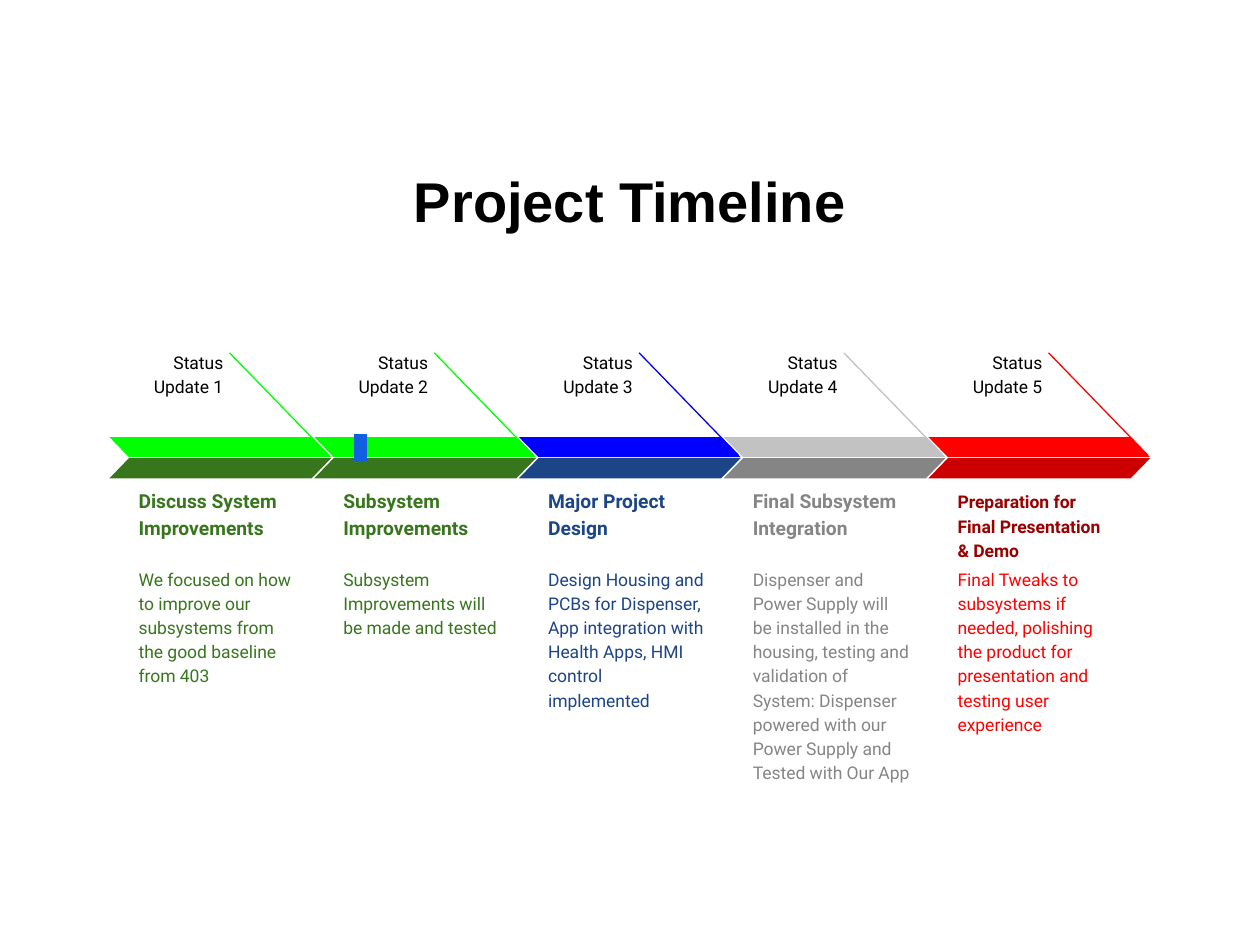
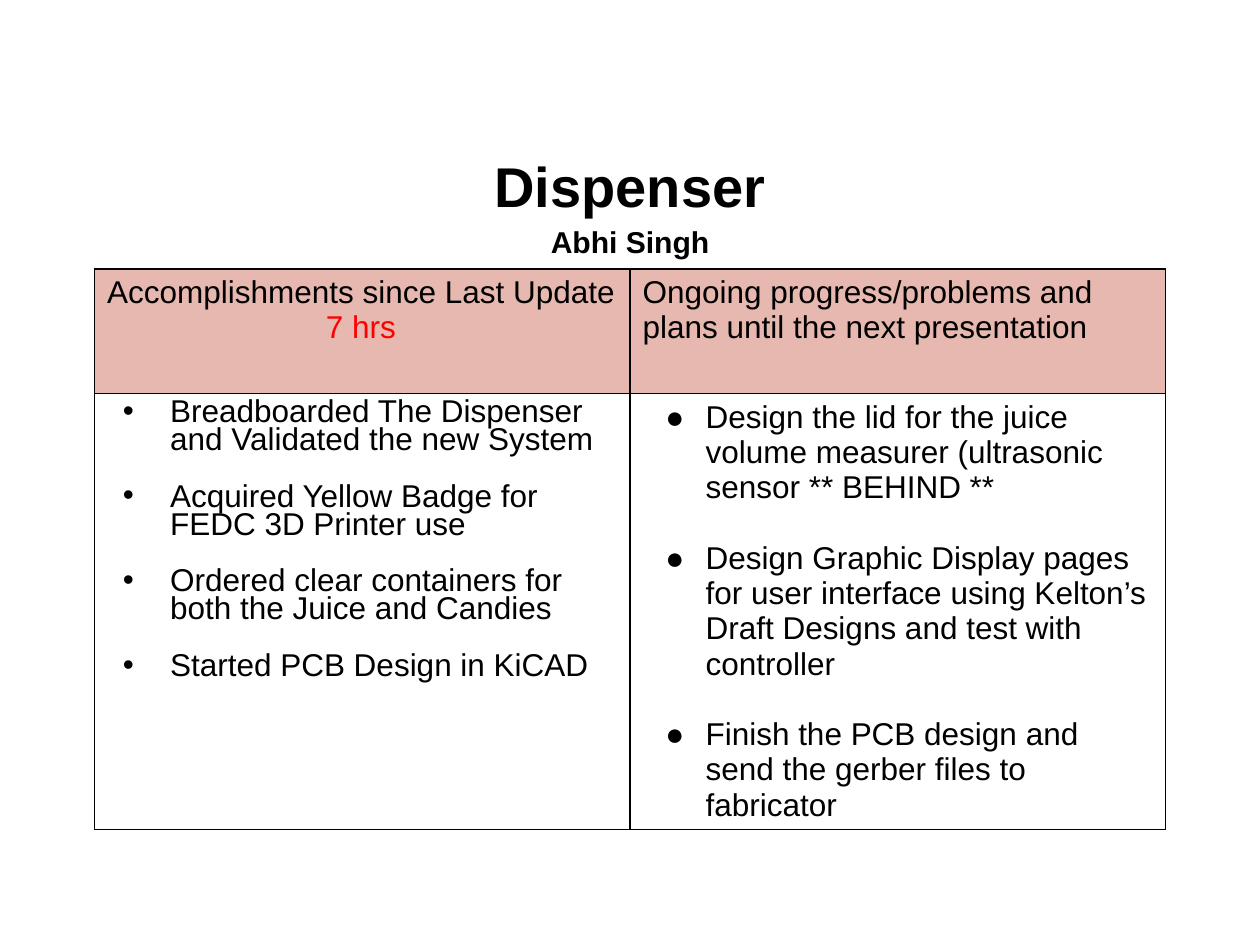
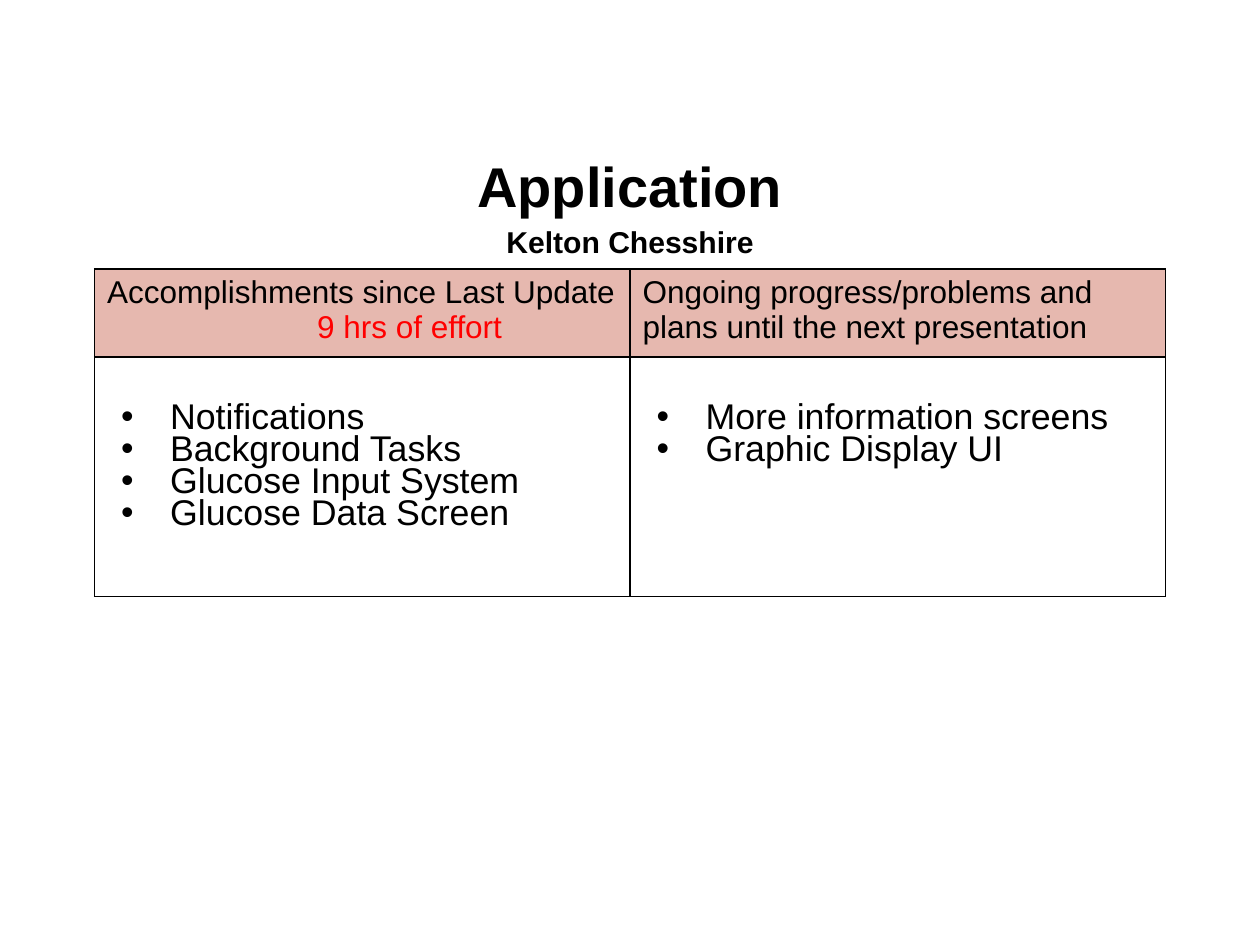
from dataclasses import dataclass

from lxml.etree import SubElement
from pptx import Presentation
from pptx.dml.color import RGBColor
from pptx.enum.shapes import MSO_CONNECTOR, MSO_SHAPE
from pptx.enum.text import MSO_ANCHOR as ANCHOR, MSO_AUTO_SIZE, PP_ALIGN as ALIGN
from pptx.oxml.ns import qn
from pptx.util import Pt


@dataclass(frozen=True)
class Theme:
    font: str = "Arial"
    timeline_font: str = "Roboto"
    black: str = "000000"
    accent: str = "FF0000"
    header_fill: str = "E6B8AF"
    marker: str = "1060E0"
    title: float = 32
    presenter: float = 17.2
    table: float = 18
    heading: float = 11
    label: float = 10


T = Theme()


def style(p, size, color=T.black, bold=False, font=T.font):
    for r in p.runs:
        r.font.size = Pt(size)
        r.font.name = font
        r.font.bold = bold
        r.font.color.rgb = RGBColor.from_string(color)


def add_text(s, box, text, size, color, bold=False, align=ALIGN.LEFT, anchor=ANCHOR.TOP):
    tf = s.shapes.add_textbox(*map(Pt, box)).text_frame
    tf.word_wrap = True
    tf.vertical_anchor = anchor
    tf.margin_left = tf.margin_right = tf.margin_top = tf.margin_bottom = Pt(7.2)
    p = tf.paragraphs[0]
    p.text = text
    p.alignment = align
    p.line_spacing = 1.15
    style(p, size, color, bold, T.timeline_font)


prs = Presentation()
prs.slide_width, prs.slide_height = Pt(720), Pt(540)

slides = []
for title, presenter in [
    ("Project Timeline", None),
    ("Dispenser", "Abhi Singh"),
    ("Application", "Kelton Chesshire"),
]:
    s = prs.slides.add_slide(prs.slide_layouts[5])
    slides.append(s)
    sp = s.shapes.title
    sp.left, sp.top, sp.width, sp.height = Pt(36), Pt(83), Pt(648), Pt(63)
    tf = sp.text_frame
    tf.auto_size = MSO_AUTO_SIZE.NONE
    tf.vertical_anchor = ANCHOR.MIDDLE
    tf.text = title
    if presenter:
        tf.add_paragraph().text = presenter
    for p, size in zip(tf.paragraphs, (T.title, T.presenter)):
        p.alignment = ALIGN.CENTER
        p.space_before = Pt(0)
        p.line_spacing = 1.15 if presenter else 1.0
        style(p, size, bold=True)

phases = [
    ("Discuss System Improvements",
     "We focused on how to improve our subsystems from the good baseline from 403",
     "00FF00", "38761D", "38761D", "38761D"),
    ("Subsystem Improvements",
     "Subsystem Improvements will be made and tested",
     "00FF00", "38761D", "38761D", "38761D"),
    ("Major Project Design",
     "Design Housing and PCBs for Dispenser, App integration with Health Apps, "
     "HMI control implemented",
     "0000FF", "1C4587", "1C4587", "1C4587"),
    ("Final Subsystem Integration",
     "Dispenser and Power Supply will be installed in the housing, testing and validation "
     "of System: Dispenser powered with our Power Supply and Tested with Our App",
     "C2C2C2", "858585", "858585", "858585"),
    ("Preparation for Final Presentation & Demo",
     "Final Tweaks to subsystems if needed, polishing the product for presentation "
     "and testing user experience",
     "FF0000", "CC0000", "990000", "FF0000"),
]

s = slides[0]
for i, (heading, detail, light, dark, heading_color, detail_color) in enumerate(phases):
    x = 62.6 + 117 * i
    line = s.shapes.add_connector(
        MSO_CONNECTOR.STRAIGHT, Pt(x + 68.6), Pt(201.6), Pt(x + 125.2), Pt(260))
    line.line.color.rgb = RGBColor.from_string(light)
    line.line.width = Pt(0.75)
    SubElement(line.element.spPr, qn("a:effectLst"))

    for y, color in ((249.8, light), (261.8, dark)):
        sp = s.shapes.add_shape(MSO_SHAPE.PARALLELOGRAM, Pt(x), Pt(y), Pt(126.7), Pt(11.5))
        sp.adjustments[0] = 0.97
        sp.shadow.inherit = False
        sp.fill.solid()
        sp.fill.fore_color.rgb = RGBColor.from_string(color)
        sp.line.fill.background()
        if color == light:
            sp.element.spPr.get_or_add_xfrm().set("flipH", "1")

    last = i == len(phases) - 1
    add_text(s, (x + 9.5, 292.3 if last else 280, 104.4, 35.3), heading,
             T.label if last else T.heading, heading_color, bold=True, anchor=ANCHOR.BOTTOM)
    add_text(s, (x + 9.5, 316, 104.4, 58.3), detail, T.label, detail_color)
    add_text(s, (x + 15, 192.2, 57, 18.7), f"Status Update {i + 1}", T.label, T.black,
             align=ALIGN.RIGHT)

marker = s.shapes.add_shape(MSO_SHAPE.RECTANGLE, Pt(202.3), Pt(248), Pt(7.4), Pt(15.4))
marker.shadow.inherit = False
marker.fill.solid()
marker.fill.fore_color.rgb = RGBColor.from_string(T.marker)
marker.line.fill.background()

updates = [
    dict(hours="7 hrs", hours_indent=125, rows=(71.3, 249), size=T.table, top=3.6, lists=[
        dict(bullet="•", hang=27, spacing=0.8, gap=16.1, items=[
            "Breadboarded The Dispenser and Validated the new System",
            "Acquired Yellow Badge for FEDC 3D Printer use",
            "Ordered clear containers for both the Juice and Candies",
            "Started PCB Design in KiCAD"]),
        dict(bullet="●", hang=23, spacing=1.0, gap=20.1, items=[
            "Design the lid for the juice volume measurer (ultrasonic sensor ** BEHIND **",
            "Design Graphic Display pages for user interface using Kelton’s "
            "Draft Designs and test with controller",
            "Finish the PCB design and send the gerber files to fabricator"]),
    ]),
    dict(hours="9 hrs of effort", hours_indent=120, rows=(50.4, 136.8), size=20.4, top=27, lists=[
        dict(bullet="•", hang=28, spacing=0.8, gap=0, items=[
            "Notifications", "Background Tasks", "Glucose Input System", "Glucose Data Screen"]),
        dict(bullet="•", hang=28, spacing=0.8, gap=0, items=[
            "More information screens", "Graphic Display UI"]),
    ]),
]

for s, update in zip(slides[1:], updates):
    table = s.shapes.add_table(2, 2, Pt(54), Pt(153.6), Pt(612), Pt(sum(update["rows"]))).table
    table.first_row = table.horz_banding = False
    for row, height in zip(table.rows, update["rows"]):
        row.height = Pt(height)
    for cell in table.iter_cells():
        cell.fill.background()
        tcPr = cell._tc.get_or_add_tcPr()
        for k, side in enumerate(("a:lnL", "a:lnR", "a:lnT", "a:lnB")):
            ln = tcPr.makeelement(qn(side), {"w": str(Pt(1))})
            SubElement(SubElement(ln, qn("a:solidFill")), qn("a:srgbClr"), val=T.black)
            tcPr.insert(k, ln)

    done, plans = table.cell(0, 0), table.cell(0, 1)
    done.text = "Accomplishments since Last Update"
    p = done.text_frame.add_paragraph()
    p.text = update["hours"]
    p._p.get_or_add_pPr().set("marL", str(Pt(update["hours_indent"])))
    plans.text = "Ongoing progress/problems and plans until the next presentation"
    for cell in (done, plans):
        cell.fill.solid()
        cell.fill.fore_color.rgb = RGBColor.from_string(T.header_fill)
        style(cell.text_frame.paragraphs[0], T.table)
    style(p, T.table, T.accent)

    for col, todo in enumerate(update["lists"]):
        cell = table.cell(1, col)
        cell.margin_top = Pt(update["top"])
        cell.text = "\n".join(todo["items"])
        for n, p in enumerate(cell.text_frame.paragraphs):
            pPr = p._p.get_or_add_pPr()
            pPr.set("marL", str(Pt(36)))
            pPr.set("indent", str(-Pt(todo["hang"])))
            SubElement(SubElement(pPr, qn("a:buClr")), qn("a:srgbClr"), val=T.black)
            SubElement(pPr, qn("a:buFont"), typeface=T.font)
            SubElement(pPr, qn("a:buChar"), char=todo["bullet"])
            p.line_spacing = todo["spacing"]
            p.space_before = Pt(todo["gap"] if n else 0)
            style(p, update["size"])

prs.save("out.pptx")
